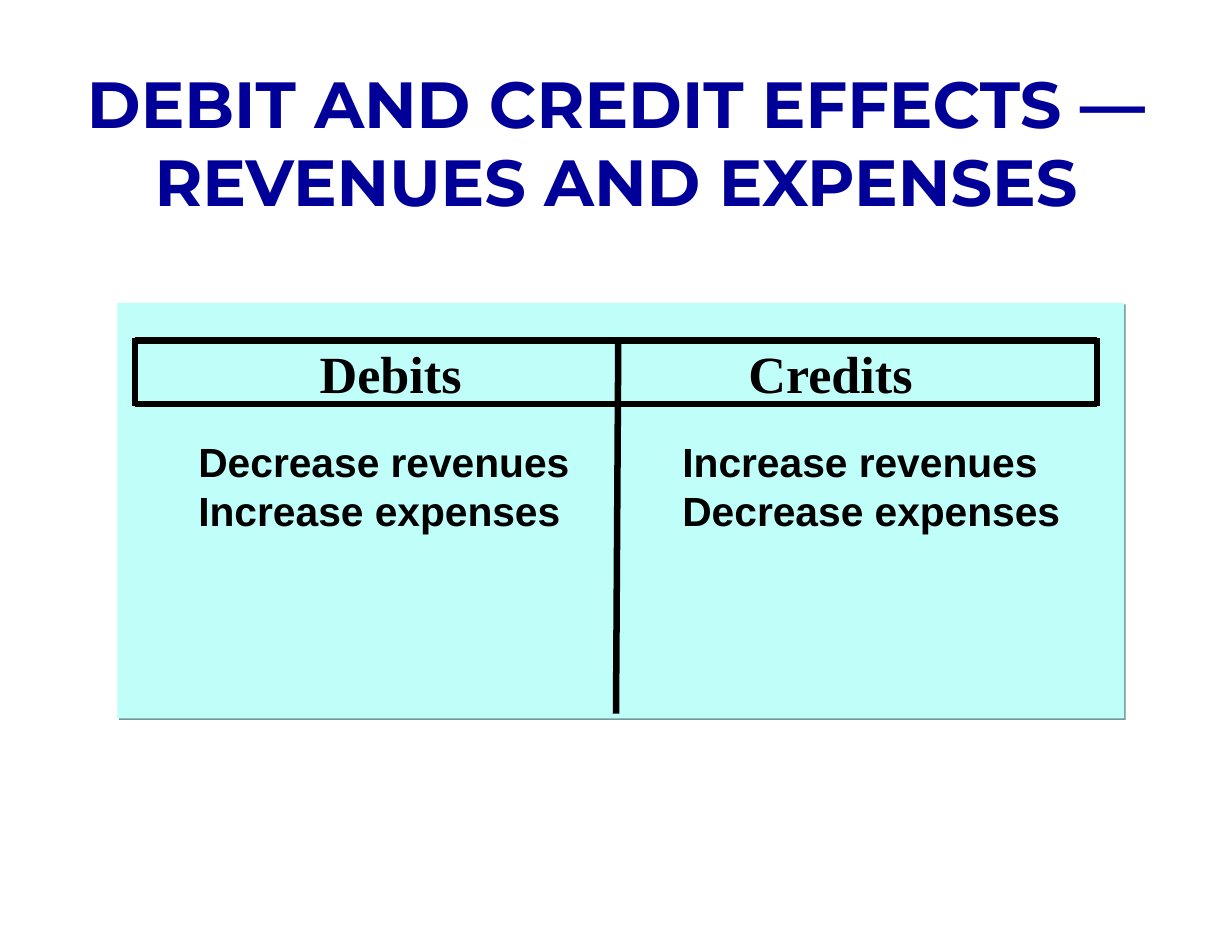
from lxml import etree
from pptx import Presentation
from pptx.dml.color import RGBColor
from pptx.enum.shapes import MSO_CONNECTOR, MSO_SHAPE
from pptx.enum.text import MSO_ANCHOR, MSO_AUTO_SIZE, PP_ALIGN
from pptx.oxml import parse_xml
from pptx.oxml.ns import nsdecls, qn
from pptx.util import Pt


def color(hex_code):
    return RGBColor.from_string(hex_code)


def write(s, text, font, size, hex_code="000000", align=PP_ALIGN.CENTER,
          spacing=None, before=0, tab=None, inset=7.2):
    """Fill a shape with one bold paragraph per line of text."""
    tf = s.text_frame
    tf.word_wrap = True
    tf.auto_size = MSO_AUTO_SIZE.NONE
    tf.vertical_anchor = MSO_ANCHOR.TOP
    tf.margin_left = tf.margin_right = Pt(inset)
    tf.margin_top = tf.margin_bottom = Pt(3.6)
    for i, line in enumerate(text.split("\n")):
        p = tf.paragraphs[0] if i == 0 else tf.add_paragraph()
        p.alignment = align
        if tab:
            tabs = etree.SubElement(p._p.get_or_add_pPr(), qn("a:tabLst"))
            etree.SubElement(tabs, qn("a:tab"), pos=str(Pt(tab)), algn="l")
        if spacing:
            p.line_spacing = spacing
        p.space_before = Pt(before if i else 0)
        r = p.add_run()
        r.text = line
        r.font.name = font
        r.font.size = Pt(size)
        r.font.bold = True
        r.font.color.rgb = color(hex_code)


prs = Presentation()
prs.slide_width, prs.slide_height = Pt(756), Pt(576)
slide = prs.slides.add_slide(prs.slide_layouts[5])
shapes = slide.shapes

title = shapes.title
title.left, title.top, title.width, title.height = Pt(0), Pt(35.3), Pt(756), Pt(103)
write(title, "DEBIT AND CREDIT EFFECTS — REVENUES AND EXPENSES",
      "Montserrat", 40, "000099")

# Panel with a thin hard shadow
panel = shapes.add_shape(MSO_SHAPE.RECTANGLE, Pt(72), Pt(185.8), Pt(617.8), Pt(254.9))
panel.fill.solid()
panel.fill.fore_color.rgb = color("C0FEF9")
panel.line.fill.background()
panel.shadow.inherit = False
panel._element.spPr.find(qn("a:effectLst")).append(parse_xml(
    f'<a:outerShdw {nsdecls("a")} blurRad="0" dist="{Pt(1.4)}" dir="2700000" '
    'algn="ctr" rotWithShape="0"><a:srgbClr val="729794"/></a:outerShdw>'))

effects = shapes.add_textbox(Pt(113.8), Pt(270), Pt(610.6), Pt(65.5))
write(effects, "Decrease revenues\tIncrease revenues\nIncrease expenses\tDecrease expenses",
      "Arial", 25, align=PP_ALIGN.LEFT, spacing=0.8, before=6.2, tab=297, inset=7.9)

for heading, left, width in (("Debits", 186.5, 106.6), ("Credits", 451.4, 116.6)):
    s = shapes.add_textbox(Pt(left), Pt(205.9), Pt(width), Pt(45.4))
    write(s, heading, "Times New Roman", 32)

# T-account: heading frame and centre rule
left, right, top, bottom = 82.8, 673.2, 208.8, 247.7
for x1, y1, x2, y2 in (
    (left, bottom, right, bottom),
    (left, top - 1.4, left, bottom + 1.4),
    (right, top - 1.4, right, bottom + 1.4),
    (left, top, right, top),
    (379.4, top, 378, 437.8),
):
    rule = shapes.add_connector(MSO_CONNECTOR.STRAIGHT, Pt(x1), Pt(y1), Pt(x2), Pt(y2))
    rule.line.width = Pt(4)
    rule.line.color.rgb = color("000000")
    etree.SubElement(rule._element.spPr, qn("a:effectLst"))

prs.save("out.pptx")
